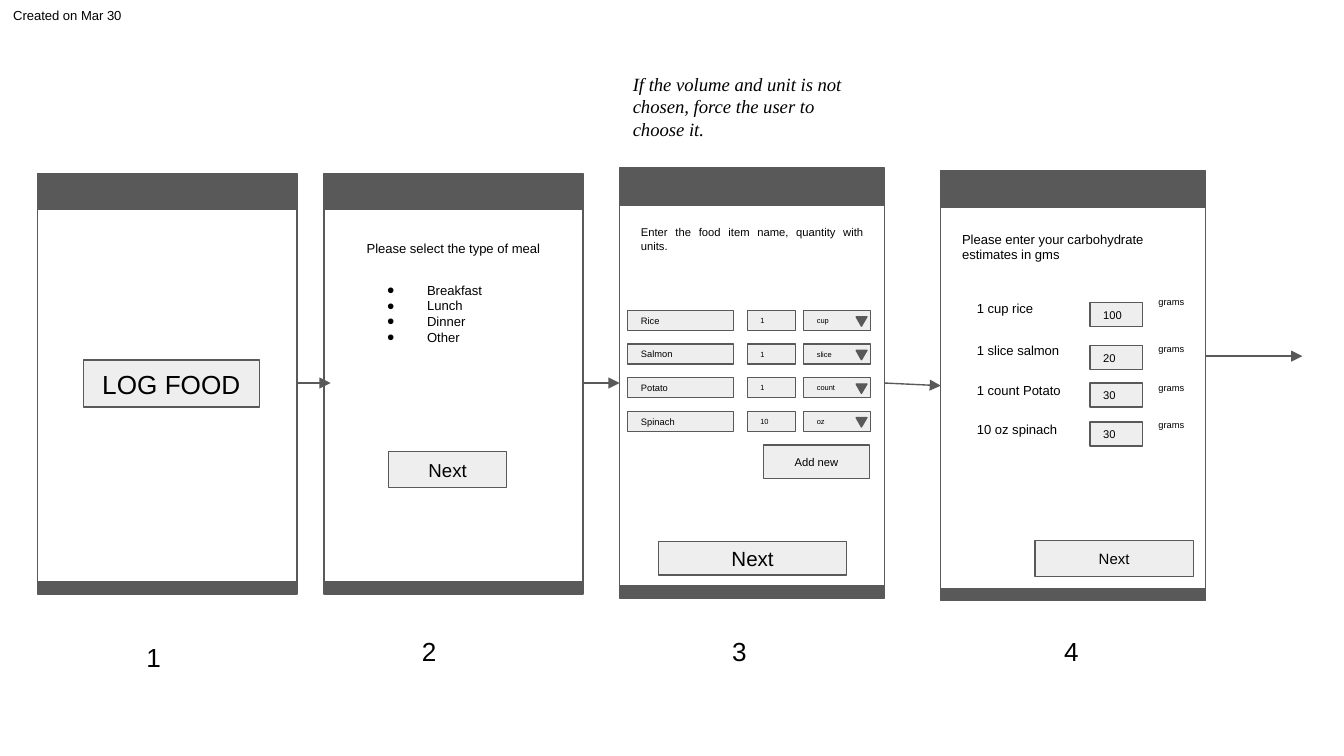
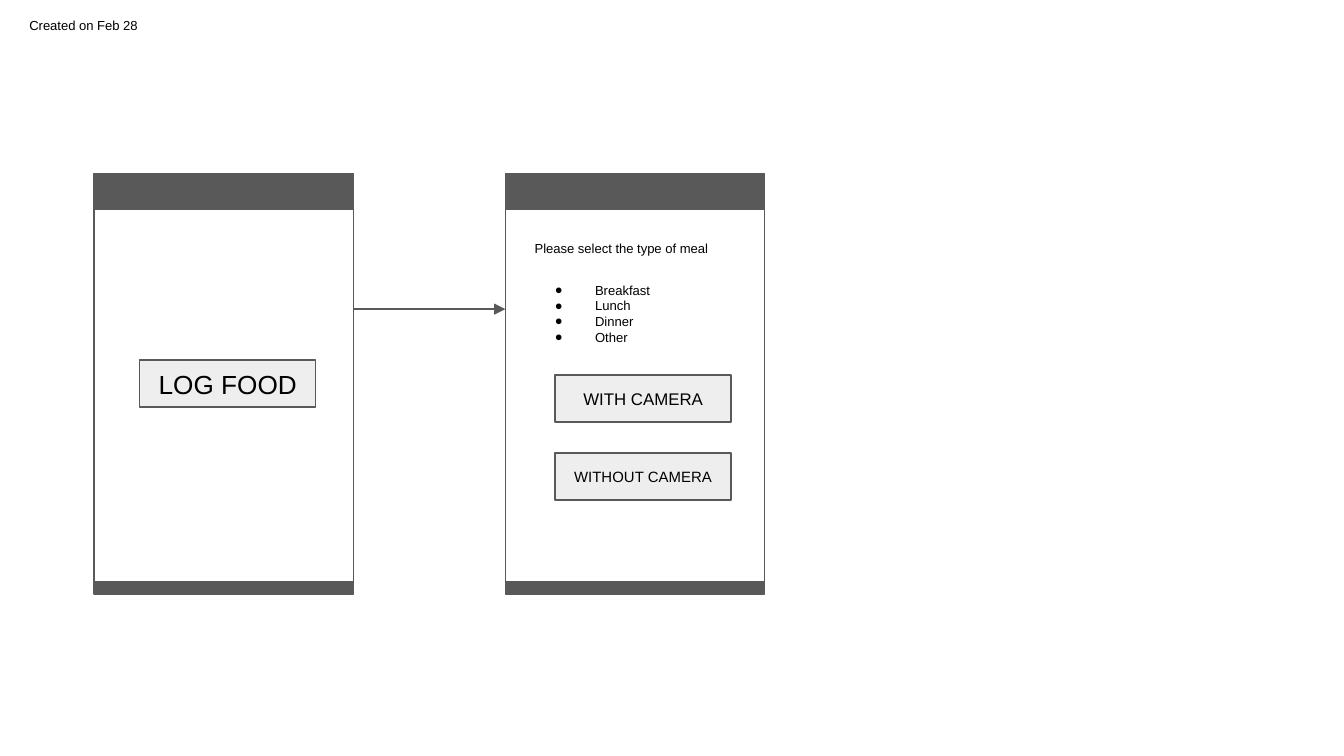
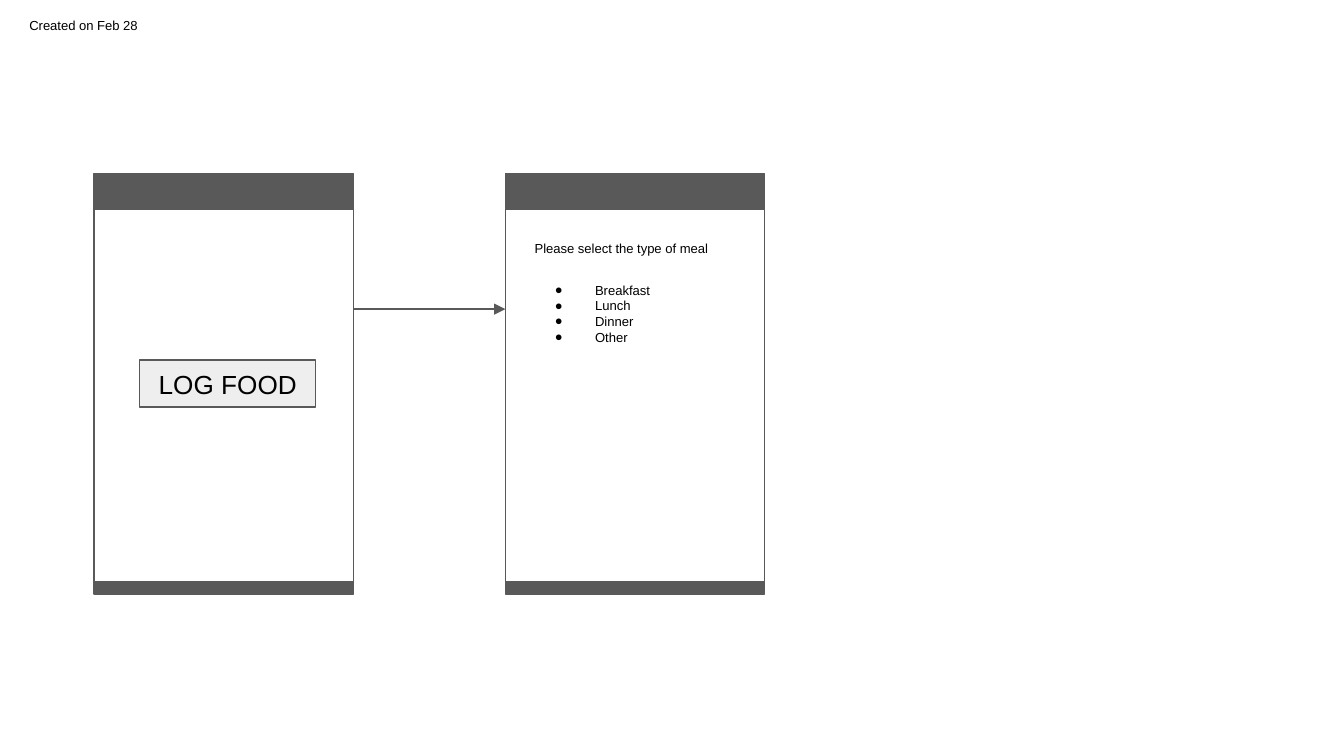
from dataclasses import dataclass
from typing import NamedTuple

from lxml.etree import SubElement as Sub
from pptx import Presentation
from pptx.dml.color import RGBColor
from pptx.enum.shapes import MSO_CONNECTOR as Wire, MSO_SHAPE as Kind
from pptx.enum.text import MSO_ANCHOR as Anchor, MSO_AUTO_SIZE as Fit, PP_ALIGN as Align
from pptx.oxml.ns import qn
from pptx.util import Inches, Pt

DARK = "595959"
PALE = "EEEEEE"
INK = "000000"
FONT = "Arial"
MEALS = ["Breakfast", "Lunch", "Dinner", "Other"]


class Box(NamedTuple):
    left: float
    top: float
    width: float
    height: float


class Food(NamedTuple):
    name: str
    count: str
    unit: str


class Guess(NamedTuple):
    name: str
    name_top: float
    grams: str
    field_top: float
    unit_top: float


@dataclass
class Phone:
    left: float
    top: float = 1.29
    width: float = 1.93
    height: float = 3.13


FOODS = [
    Food("Rice", "1", "cup"),
    Food("Salmon", "1", "slice"),
    Food("Potato", "1", "count"),
    Food("Spinach", "10", "oz"),
]
GUESSES = [
    Guess("1 cup rice", 2.18, "100", 2.25, 2.16),
    Guess("1 slice salmon", 2.49, "20", 2.57, 2.51),
    Guess("1 count Potato", 2.79, "30", 2.85, 2.8),
    Guess("10 oz spinach", 3.08, "30", 3.14, 3.08),
]
STEPS = [(0.99, 4.67), (3.04, 4.63), (5.35, 4.63), (7.82, 4.63)]


def paint(target, color: str) -> None:
    target.solid()
    target.fore_color.rgb = RGBColor.from_string(color)


def place(box: Box) -> list:
    return [Inches(side) for side in box]


def write(shape, text: str | list[str], size: float = 7, font: str = FONT,
          color: str = INK, slant: bool = False, align=Align.LEFT,
          anchor=Anchor.TOP, dots: bool = False) -> None:
    frame = shape.text_frame
    frame.word_wrap = True
    frame.vertical_anchor = anchor
    frame.margin_left = frame.margin_right = Inches(0.1)
    frame.margin_top = frame.margin_bottom = Inches(0.1)
    lines = [text] if isinstance(text, str) else text
    for spot, line in enumerate(lines):
        para = frame.add_paragraph() if spot else frame.paragraphs[0]
        para.alignment = align
        run = para.add_run()
        run.text = line
        run.font.size = Pt(size)
        run.font.name = font
        run.font.italic = slant
        run.font.color.rgb = RGBColor.from_string(color)
        if dots:
            props = para._p.get_or_add_pPr()
            props.set("marL", str(Inches(0.5)))
            props.set("indent", str(-Inches(0.3)))
            tint = Sub(props, qn("a:buClr"))
            Sub(tint, qn("a:srgbClr"), val=color)
            Sub(props, qn("a:buSzPts"), val=str(size * 100))
            Sub(props, qn("a:buFont"), typeface=font)
            Sub(props, qn("a:buChar"), char="●")


def draw(shapes, box: Box, fill: str | None = None, kind=Kind.RECTANGLE):
    shape = shapes.add_shape(kind, *place(box))
    shape.shadow.inherit = False
    if fill:
        paint(shape.fill, fill)
    else:
        shape.fill.background()
    paint(shape.line.fill, DARK)
    shape.line.width = Pt(0.75)
    return shape


def label(slide, box: Box, text: str | list[str], **style) -> None:
    shape = slide.shapes.add_textbox(*place(box))
    write(shape, text, **style)
    shape.text_frame.auto_size = Fit.SHAPE_TO_FIT_TEXT


def field(slide, box: Box, text: str, size: float, align=Align.LEFT) -> None:
    write(draw(slide.shapes, box, PALE), text, size=size, align=align, anchor=Anchor.MIDDLE)


def button(slide, box: Box, text: str, size: float) -> None:
    field(slide, box, text, size, Align.CENTER)


def arrow(slide, left: float, top: float, right: float, end: float) -> None:
    wire = slide.shapes.add_connector(
        Wire.STRAIGHT, Inches(left), Inches(top), Inches(right), Inches(end))
    paint(wire.line.fill, DARK)
    wire.line.width = Pt(0.75)
    Sub(wire.line._get_or_add_ln(), qn("a:tailEnd"), type="triangle")
    Sub(wire._element.spPr, qn("a:effectLst"))


def mockup(slide, phone: Phone) -> None:
    group = slide.shapes.add_group_shape().shapes
    left, top, width, height = phone.left, phone.top, phone.width, phone.height
    draw(group, Box(left, top, width, height))
    draw(group, Box(left, top + 0.01, width, height / 12), DARK)
    draw(group, Box(left, top + height - 0.09, width, 0.08), DARK)


def start(slide, left: float) -> None:
    mockup(slide, Phone(left))
    button(slide, Box(left + 0.34, 2.68, 1.31, 0.35), "LOG FOOD", 14)


def meals(slide, left: float, inset: float) -> None:
    mockup(slide, Phone(left))
    edge = left + inset
    label(slide, Box(edge, 1.73, 1.67, 0.32), "Please select the type of meal")
    label(slide, Box(edge - 0.05, 2, 1.5, 0.67), MEALS, dots=True)


def foods(slide) -> None:
    mockup(slide, Phone(4.61, 1.25, 1.97, 3.2))
    label(slide, Box(4.67, 1.58, 1.85, 0.4),
          "Enter the food item name, quantity with units.", size=6, align=Align.JUSTIFY)
    for row, food in enumerate(FOODS):
        top = 2.31 + row * 0.25
        field(slide, Box(4.67, top, 0.79, 0.15), food.name, 5)
        field(slide, Box(5.56, top, 0.36, 0.15), food.count, 4)
        field(slide, Box(5.98, top, 0.5, 0.15), food.unit, 4)
        mark = draw(slide.shapes, Box(6.38, top + 0.03, 0.08, 0.07), DARK,
                    Kind.ISOSCELES_TRIANGLE)
        mark.rotation = 60.4
    button(slide, Box(5.68, 3.31, 0.79, 0.25), "Add new", 6)
    button(slide, Box(4.9, 4.03, 1.4, 0.25), "Next", 11)


def carbs(slide) -> None:
    mockup(slide, Phone(7, 1.27, 1.97, 3.2))
    label(slide, Box(7.06, 1.62, 1.82, 0.44),
          "Please enter your carbohydrate estimates in gms")
    for guess in GUESSES:
        label(slide, Box(7.17, guess.name_top, 0.88, 0.32), guess.name)
        field(slide, Box(8.11, guess.field_top, 0.39, 0.18), guess.grams, 6)
        label(slide, Box(8.52, guess.unit_top, 0.42, 0.29), "grams", size=5)
    button(slide, Box(7.7, 4.02, 1.18, 0.27), "Next", 8)


def stamp(slide, left: float, top: float, day: str) -> None:
    label(slide, Box(left, top, 1.04, 0.32), f"Created on {day}")


def march(slide) -> None:
    start(slide, 0.28)
    meals(slide, 2.41, 0.22)
    button(slide, Box(2.89, 3.36, 0.88, 0.27), "Next", 10)
    foods(slide)
    carbs(slide)
    arrow(slide, 2.22, 2.85, 2.46, 2.85)
    arrow(slide, 4.34, 2.85, 4.61, 2.85)
    arrow(slide, 6.58, 2.85, 7, 2.87)
    arrow(slide, 8.97, 2.65, 9.69, 2.65)
    for step, (left, top) in enumerate(STEPS, 1):
        label(slide, Box(left, top, 0.47, 0.44), str(step), size=14)
    label(slide, Box(4.61, 0.44, 1.75, 0.71),
          "If the volume and unit is not chosen, force the user to choose it.",
          size=10, font="Times New Roman", slant=True)
    stamp(slide, 0, 0, "Mar 30")


def winter(slide) -> None:
    start(slide, 0.7)
    meals(slide, 3.76, 0.12)
    arrow(slide, 2.63, 2.3, 3.76, 2.3)
    stamp(slide, 0.12, 0.07, "Feb 28")


def camera(slide) -> None:
    winter(slide)
    button(slide, Box(4.13, 2.79, 1.31, 0.35), "WITH CAMERA", 9)
    button(slide, Box(4.13, 3.37, 1.31, 0.35), "WITHOUT CAMERA", 8)


def main() -> None:
    deck = Presentation()
    deck.slide_width = Inches(10)
    deck.slide_height = Inches(10) * 9 // 16
    blank = deck.slide_layouts[6]
    for build in (march, camera, winter):
        slide = deck.slides.add_slide(blank)
        paint(slide.background.fill, "FFFFFF")
        build(slide)
    deck.save("out.pptx")


if __name__ == "__main__":
    main()
